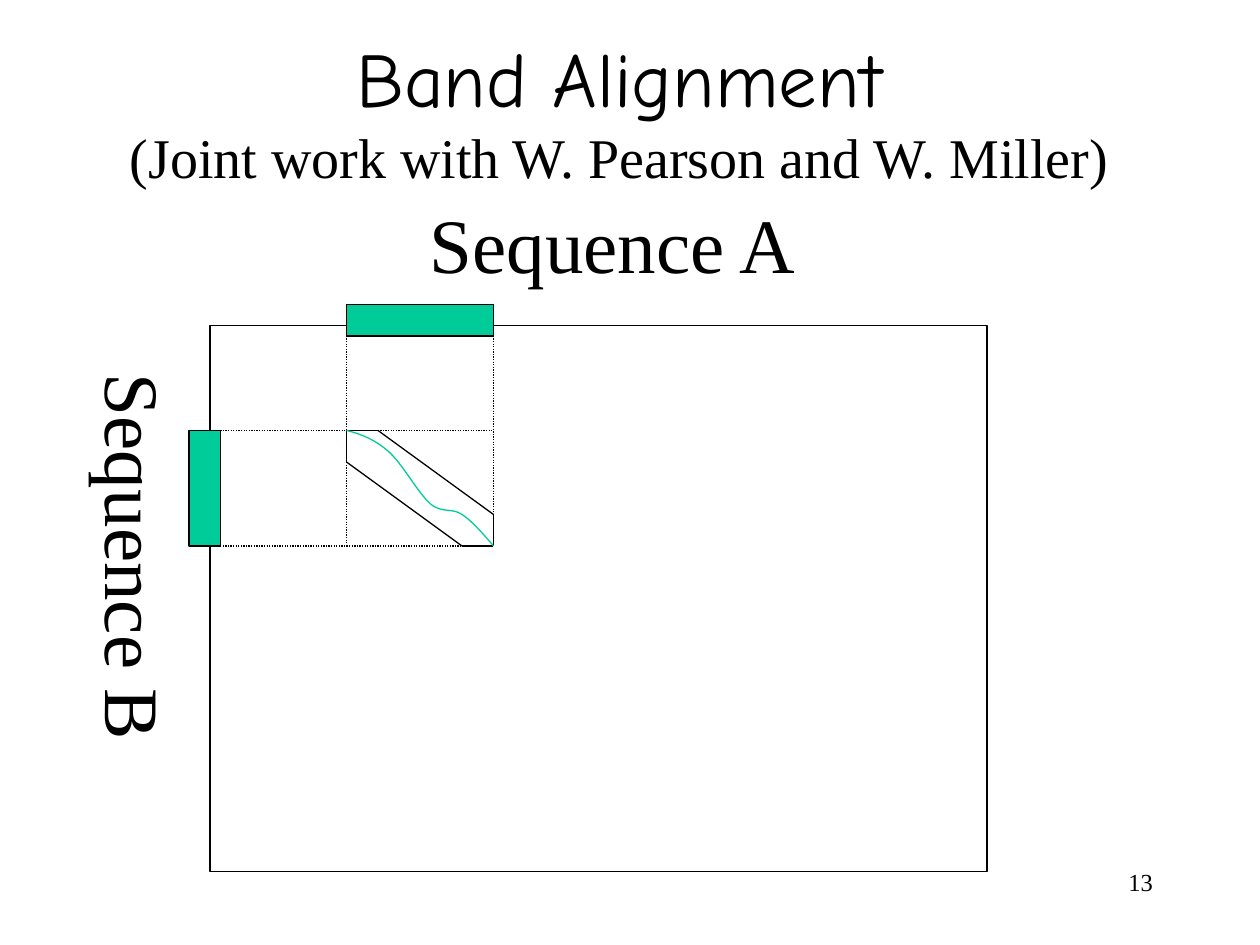
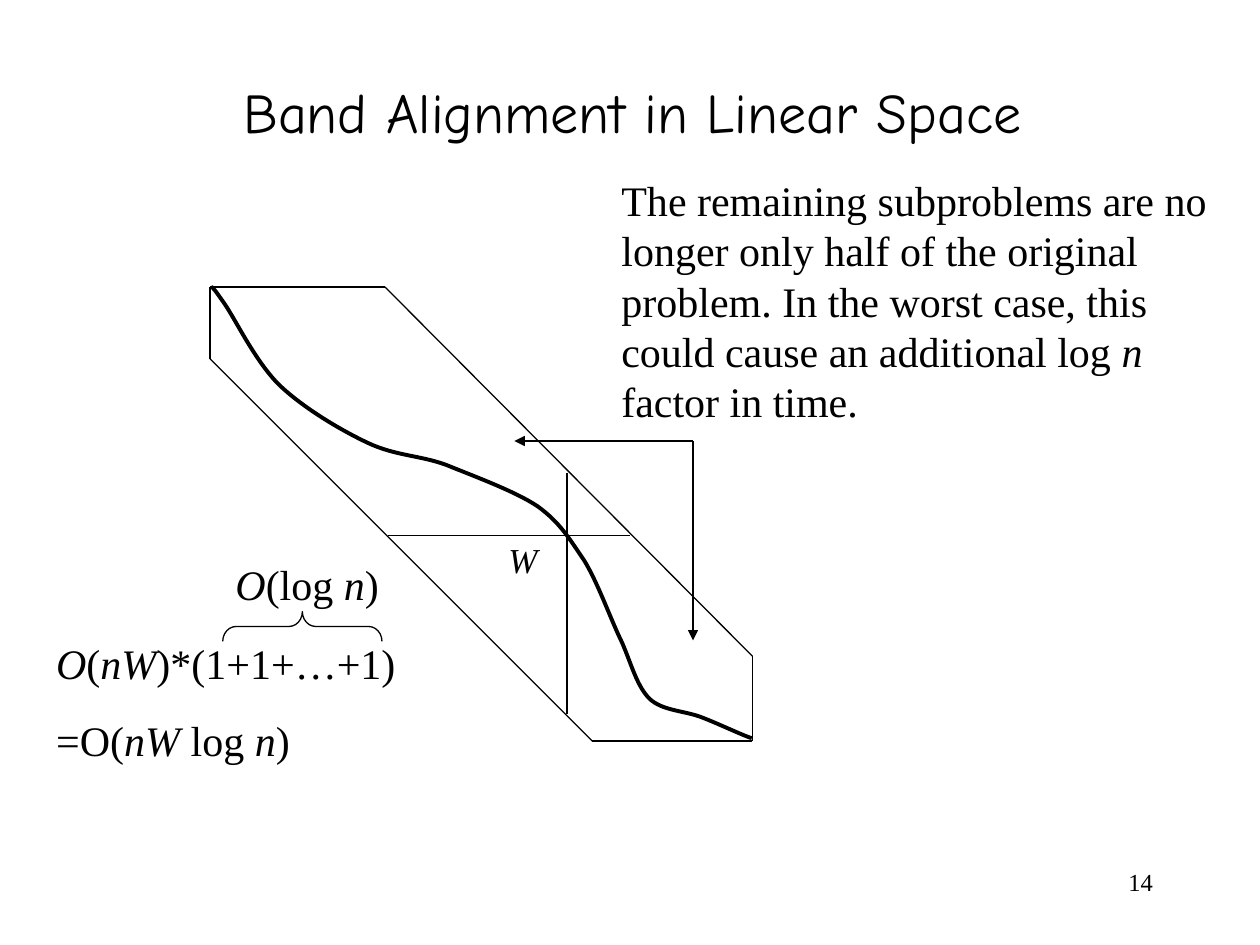
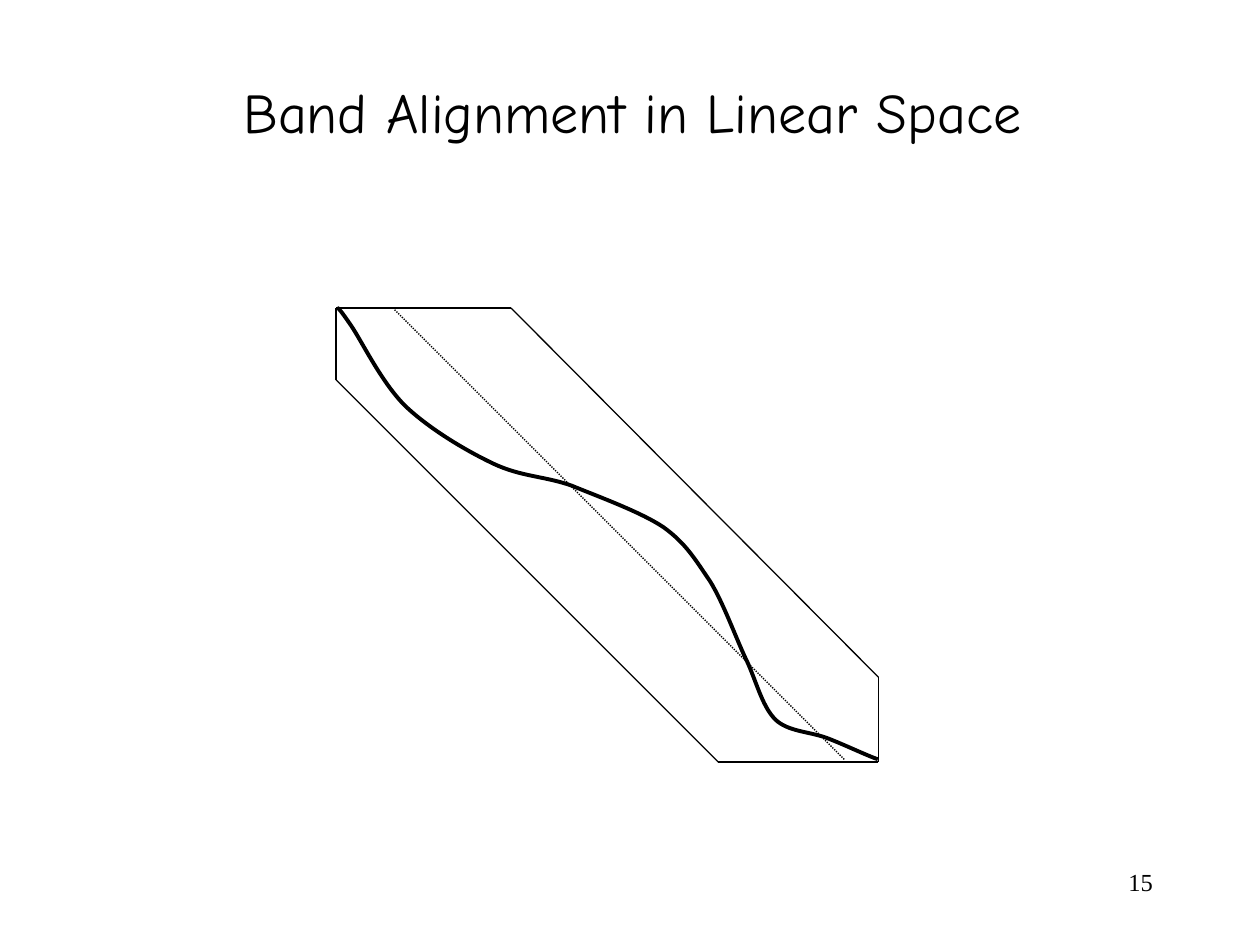
from lxml import etree
from pptx import Presentation
from pptx.dml.color import RGBColor
from pptx.enum.dml import MSO_LINE
from pptx.enum.shapes import MSO_CONNECTOR, MSO_SHAPE
from pptx.enum.text import MSO_ANCHOR, MSO_AUTO_SIZE, PP_ALIGN
from pptx.oxml.ns import qn
from pptx.util import Pt

# Shared constants
STRAIGHT = MSO_CONNECTOR.STRAIGHT
RECT, BRACE = MSO_SHAPE.RECTANGLE, MSO_SHAPE.RIGHT_BRACE
DOTTED = MSO_LINE.ROUND_DOT
GROW, FIXED = MSO_AUTO_SIZE.SHAPE_TO_FIT_TEXT, MSO_AUTO_SIZE.NONE
MIDDLE = MSO_ANCHOR.MIDDLE
LEFT, CENTER, RIGHT = PP_ALIGN.LEFT, PP_ALIGN.CENTER, PP_ALIGN.RIGHT
BLACK, GREEN = "000000", "00CC99"
SERIF, HAND = "Times New Roman", "Comic Neue"

# Large band: corners and alignment curve, relative to its top left
BAND = [(0, 0), (0, 41), (218.5, 259.5), (310, 259.5), (310, 211), (100, 0)]
BAND_CURVE = [
    (0.7, 0),
    (1.4, 0), (2.2, 0.7), (8.6, 10),
    (15, 19.4), (26, 42.5), (39.6, 56),
    (53.3, 69), (74, 81.4), (90, 89),
    (106, 96.5), (119, 96), (134.6, 101.5),
    (150.5, 108), (174.2, 116.6), (187.2, 125.3),
    (200, 134.6), (205, 143.3), (213.8, 156.2),
    (221.8, 169.2), (229, 190), (235.4, 203),
    (241, 216), (244, 228.2), (251.3, 235.4),
    (258.5, 242), (270, 242), (280, 245.5),
    (289.4, 249), (304.6, 256.3), (309.6, 257.8),
]
# Small band inside the full matrix
SMALL_BAND = [(0, 0), (0, 18), (66, 66), (84, 66), (84, 48), (18, 0)]
SMALL_CURVE = [
    (0, 0),
    (8, 2), (16, 5), (24, 12),
    (32, 19), (41, 36), (48, 42),
    (54.5, 47.5), (60, 44), (66, 48),
    (72, 52), (78, 59), (84, 66),
]


def rgb(value):
    return RGBColor.from_string(value)


def add_run(p, text, size, font=SERIF, italic=False):
    r = p.add_run()
    r.text = text
    for name, value in {"name": font, "size": Pt(size), "italic": italic}.items():
        setattr(r.font, name, value)
    r.font.color.rgb = rgb(BLACK)


def add_text(s, box, paragraphs, size, font=SERIF, align=LEFT, before=0, **frame):
    """Text box; parts between underscores are italic."""
    tf = s.shapes.add_textbox(*map(Pt, box)).text_frame
    for name, value in {"word_wrap": True, "auto_size": GROW, **frame}.items():
        setattr(tf, name, value)
    for i, text in enumerate(paragraphs):
        p = tf.add_paragraph() if i else tf.paragraphs[0]
        p.alignment, p.space_before = align, Pt(before)
        for j, part in enumerate(text.split("_")):
            if part:
                add_run(p, part, size, font, j % 2 == 1)
    return tf


def style_line(line, color=BLACK, width=0.75):
    line.color.rgb = rgb(color)
    line.width = Pt(width)


def add_box(s, box, fill=None, kind=RECT):
    sp = s.shapes.add_shape(kind, *map(Pt, box))
    sp.shadow.inherit = False
    if fill:
        sp.fill.solid()
        sp.fill.fore_color.rgb = rgb(fill)
    else:
        sp.fill.background()
    style_line(sp.line)
    return sp


def add_line(s, start, end, dash=None, arrow=False):
    cx = s.shapes.add_connector(STRAIGHT, *map(Pt, (*start, *end)))
    style_line(cx.line)
    if dash:
        cx.line.dash_style = dash
    spPr = cx.element.spPr
    if arrow:
        etree.SubElement(spPr.find(qn("a:ln")), qn("a:tailEnd"), type="triangle")
    etree.SubElement(spPr, qn("a:effectLst"))


def add_curve(s, points, color=BLACK, width=0.75):
    """Open Bezier curve: a start, then two handles and an end per piece."""
    start, *rest = [(Pt(x), Pt(y)) for x, y in points]
    builder = s.shapes.build_freeform(*start)
    builder.add_line_segments(rest, close=False)
    sp = builder.convert_to_shape()
    sp.shadow.inherit = False
    sp.fill.background()
    style_line(sp.line, color, width)
    # Turn each three straight segments into one cubic segment
    segments = list(sp.element.iter(qn("a:lnTo")))
    for i in range(0, len(segments), 3):
        cubic = etree.Element(qn("a:cubicBezTo"))
        segments[i].addprevious(cubic)
        for segment in segments[i:i + 3]:
            cubic.append(segment[0])
            segment.getparent().remove(segment)


def add_band(s, left, top, corners, curve, color=BLACK, width=0.75):
    corners, curve = ([(left + x, top + y) for x, y in pts] for pts in (corners, curve))
    for start, end in zip(corners, corners[1:] + corners[:1]):
        add_line(s, start, end)
    add_curve(s, curve, color, width)


def new_slide(prs, number):
    s = prs.slides.add_slide(prs.slide_layouts[6])
    add_text(s, (516, 492, 150, 36), [str(number)], 14, align=RIGHT, auto_size=FIXED)
    return s


def linear_space_slide(prs, number, left, top):
    s = new_slide(prs, number)
    add_text(s, (132, 41, 504, 46), ["Band Alignment in Linear Space"], 32, HAND, before=20)
    add_band(s, left, top, BAND, BAND_CURVE, width=2.25)
    return s


def matrix_slide(prs):
    s = new_slide(prs, 13)
    tf = add_text(s, (48, 18, 612, 90), ["Band Alignment"], 44, HAND, CENTER,
                  auto_size=FIXED, vertical_anchor=MIDDLE)
    p = tf.paragraphs[0]
    p.add_line_break()
    add_run(p, "(Joint work with W. Pearson and W. Miller)", 32)

    # Matrix and sequence names
    add_box(s, (120, 186, 444, 312))
    tf = add_text(s, (41, 206.5, 67, 229.5), ["Sequence B"], 44, before=27.5,
                  margin_left=Pt(3.6), margin_right=Pt(3.6),
                  margin_top=Pt(7.2), margin_bottom=Pt(7.2))
    tf._txBody.bodyPr.set("vert", "eaVert")
    add_text(s, (238.5, 108.5, 226, 60.5), ["Sequence A"], 44, word_wrap=False)

    # Aligned regions and their projections
    left, top, right, bottom = 198, 246, 282, 312
    add_box(s, (left, 174, right - left, 18), GREEN)
    add_box(s, (108, top, 18, bottom - top), GREEN)
    for y, x in ((top, 120), (bottom, 114)):
        add_line(s, (x, y), (right, y), DOTTED)
    for x in (left, right):
        add_line(s, (x, 186), (x, bottom), DOTTED)
    add_band(s, left, top, SMALL_BAND, SMALL_CURVE, GREEN)


def subproblem_slide(prs):
    s = linear_space_slide(prs, 14, 120, 164)
    # Split lines and the two remaining subproblems
    add_line(s, (222, 306), (360, 306))
    add_line(s, (324, 270), (324, 408))
    for target in ((294, 252), (396, 366)):
        add_line(s, (396, 252), target, arrow=True)
    add_text(s, (348, 96, 354, 151),
             ["The remaining subproblems are no longer only half of the original problem. "
              "In the worst case, this could cause an additional log _n_ factor in time."],
             24, before=15)

    # Running time
    add_text(s, (25, 361, 215, 80), ["_O_(_nW_)*(1+1+…+1)", "=O(_nW_ log _n_)"], 24, before=15)
    brace = add_box(s, (164.3, 312.5, 17, 91), kind=BRACE)
    brace.rotation = 270
    brace.adjustments[0] = 0.45
    add_text(s, (127.5, 315.5, 102, 36), ["_O_(log _n_)"], 24, before=15)
    add_text(s, (283.5, 304, 31, 31.5), ["_W_"], 20, word_wrap=False)


def diagonal_slide(prs):
    s = linear_space_slide(prs, 15, 192, 176)
    add_line(s, (225.5, 177), (482.5, 434), DOTTED)


def main():
    prs = Presentation()
    prs.slide_width, prs.slide_height = Pt(720), Pt(540)
    matrix_slide(prs)
    subproblem_slide(prs)
    diagonal_slide(prs)
    prs.save("out.pptx")


if __name__ == "__main__":
    main()
